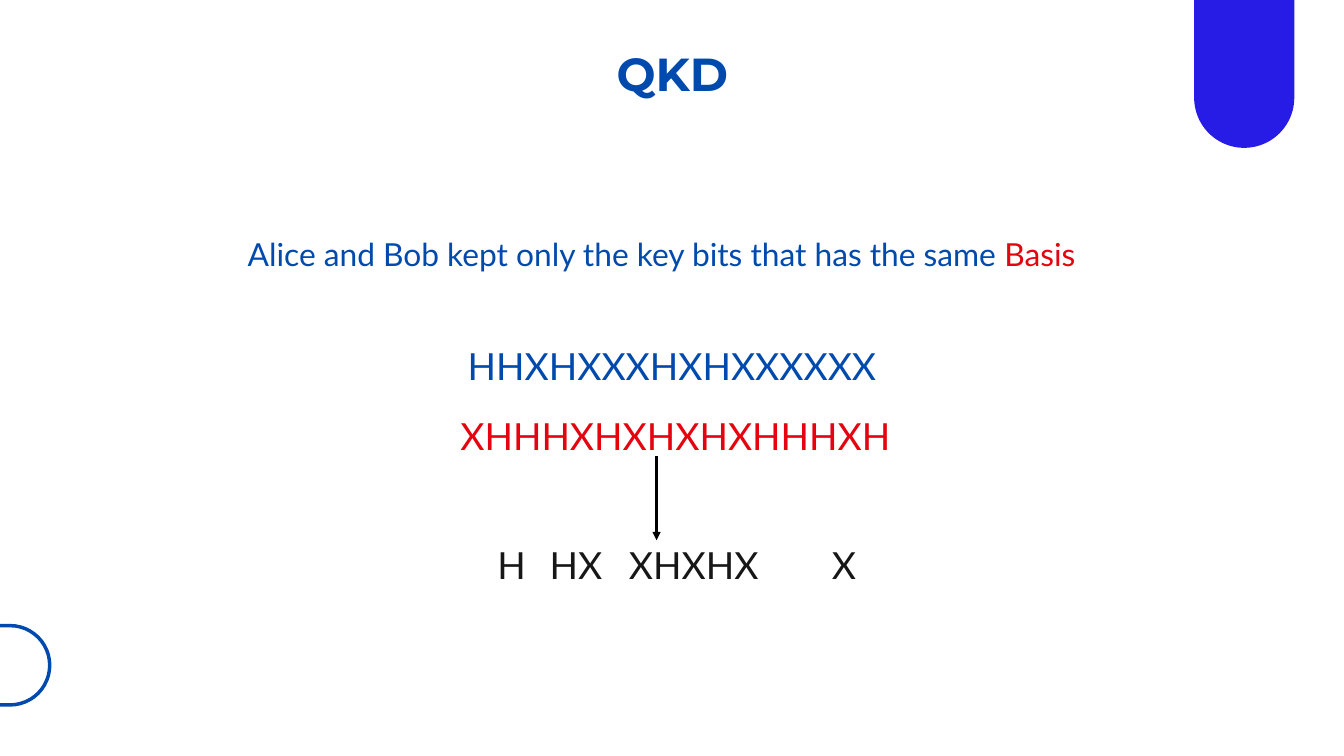
import pptx
import pptx.util
import pptx.dml.color
import pptx.enum.shapes
import pptx.enum.text
import pptx.oxml
import pptx.oxml.ns
import lxml.etree

Inches = pptx.util.Inches
Pt = pptx.util.Pt

BLUE = "004AAD"
RED = "E4030E"
INK = "171717"
VIOLET = "261CE6"
BASIS = {"size": Pt(40), "name": "Lato"}


def colour(value):
    return pptx.dml.color.RGBColor.from_string(value)


def drawing_element(parent, tag, **attributes):
    return lxml.etree.SubElement(parent, pptx.oxml.ns.qn(tag), attributes)


def add_pill(slide, box, fill=None, outline=None):
    pill = slide.shapes.add_shape(
        pptx.enum.shapes.MSO_SHAPE.ROUNDED_RECTANGLE, *map(Inches, box))
    pill.adjustments[0] = 0.5
    pill.shadow.inherit = False
    if fill:
        pill.fill.solid()
        pill.fill.fore_color.rgb = colour(fill)
    else:
        pill.fill.background()
    if outline:
        pill.line.color.rgb = colour(outline)
        pill.line.width = Pt(3.75)
    else:
        pill.line.fill.background()


def add_line_of_text(slide, box, runs, font, spacing, tabs=()):
    frame = slide.shapes.add_textbox(*map(Inches, box)).text_frame
    settings = {
        "word_wrap": True,
        "auto_size": pptx.enum.text.MSO_AUTO_SIZE.SHAPE_TO_FIT_TEXT,
        "margin_left": 0, "margin_top": 0, "margin_right": 0, "margin_bottom": 0,
    }
    for key, value in settings.items():
        setattr(frame, key, value)
    paragraph = frame.paragraphs[0]
    align = pptx.enum.text.PP_ALIGN
    paragraph.alignment = align.LEFT if tabs else align.CENTER
    paragraph.line_spacing = Pt(spacing)
    if tabs:
        tab_list = drawing_element(paragraph._p.get_or_add_pPr(), "a:tabLst")
        for position in tabs:
            drawing_element(tab_list, "a:tab", pos=str(Inches(position)), algn="l")
    for text, ink in runs:
        run = paragraph.add_run()
        run.text = text
        for key, value in font.items():
            setattr(run.font, key, value)
        run.font.color.rgb = colour(ink)


def add_arrow(slide, x, top, bottom):
    arrow = slide.shapes.add_connector(
        pptx.enum.shapes.MSO_CONNECTOR.STRAIGHT,
        Inches(x), Inches(top), Inches(x), Inches(bottom))
    arrow.line.color.rgb = colour("000000")
    arrow.line.width = Pt(3)
    drawing_element(arrow.line._get_or_add_ln(), "a:tailEnd", type="triangle")
    drawing_element(arrow._element.spPr, "a:effectLst")


def add_decoration(slide):
    add_pill(slide, (17.77, -2.75, 1.49, 4.95), fill=VIOLET)
    add_pill(slide, (-5.19, 9.31, 5.93, 1.18), outline=BLUE)


def add_heading(slide, box):
    left, top, width, height = box
    add_line_of_text(slide, (left + 1.9, top, 12.35, 0.71), [("QKD", BLUE)],
                     {"size": Pt(49.6), "name": "Montserrat", "bold": True}, 49.1)
    add_line_of_text(
        slide, (left, top + height - 0.63, width, 0.63),
        [("Alice and Bob kept only the key bits that has the same ", BLUE),
         ("Basis", RED)],
        {"size": Pt(34), "name": "Lato"}, 47.6)


def add_basis_comparison(slide, box):
    left, top, width, height = box
    add_line_of_text(slide, (left, top, width, 0.75),
                     [("HHXHXXXHXHXXXXXX", BLUE)], BASIS, 56)
    add_line_of_text(slide, (left + 0.05, top + 1.05, width, 0.75),
                     [("XHHHXHXHXHXHHHXH", RED)], BASIS, 56)
    add_arrow(slide, left + 5.09, top + 1.8, top + 3.05)
    add_line_of_text(slide, (left + 0.06, top + height - 0.75, width, 0.75),
                     [("\tH\tHX\tXHXHX\tX", INK)], BASIS, 56,
                     tabs=(2.66, 3.44, 4.62, 7.64))


def main():
    presentation = pptx.Presentation()
    presentation.slide_width = Inches(20)
    presentation.slide_height = Inches(11.25)
    slide = presentation.slides.add_slide(presentation.slide_layouts[6])
    add_decoration(slide)
    add_heading(slide, (1.93, 0.82, 15.83, 3.21))
    add_basis_comparison(slide, (4.68, 4.99, 10.64, 3.71))
    presentation.save("out.pptx")


if __name__ == "__main__":
    main()
